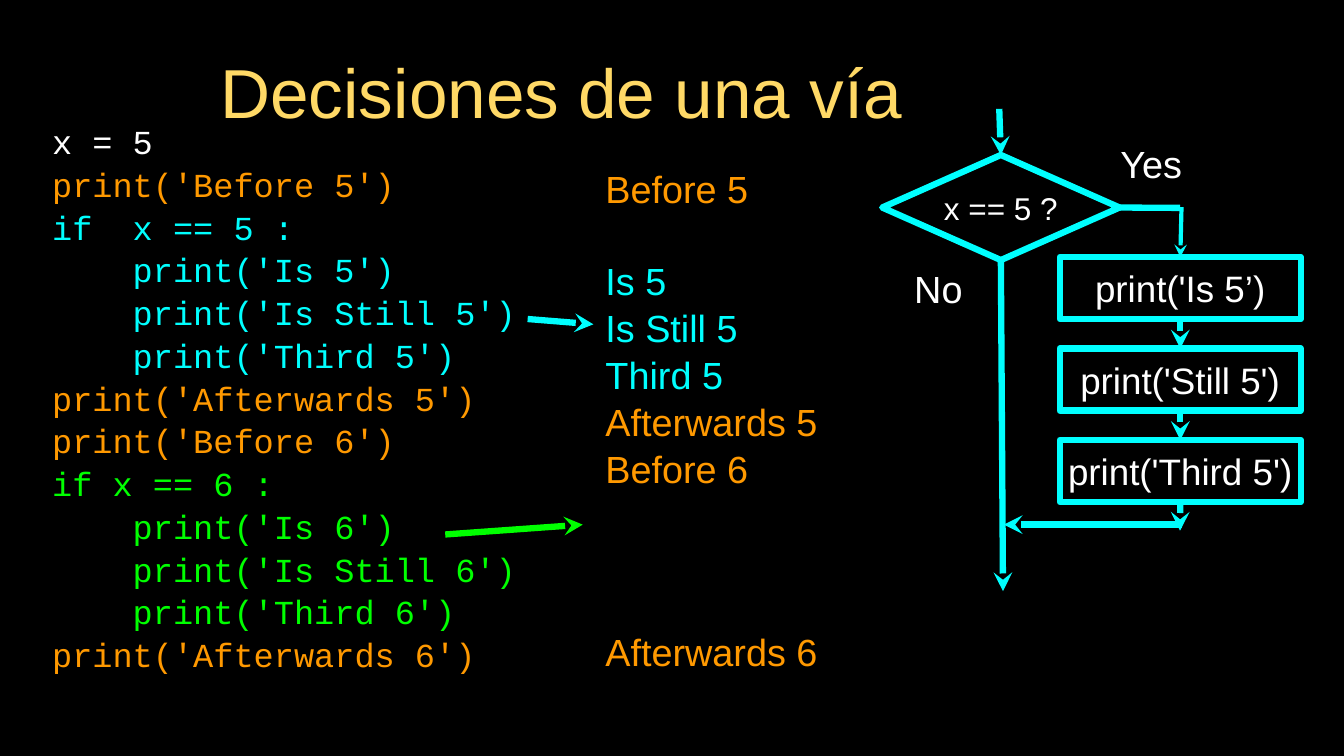
from pptx import Presentation
from pptx.dml.color import RGBColor
from pptx.enum.shapes import MSO_CONNECTOR, MSO_SHAPE
from pptx.enum.text import MSO_ANCHOR, PP_ALIGN
from pptx.oxml.ns import qn
from pptx.util import Inches, Pt
from lxml import etree

LINE = MSO_CONNECTOR.STRAIGHT
DIAMOND, RECT = MSO_SHAPE.DIAMOND, MSO_SHAPE.RECTANGLE
MIDDLE = MSO_ANCHOR.MIDDLE
LEFT, CENTER = PP_ALIGN.LEFT, PP_ALIGN.CENTER
TOP_SIDE, BOTTOM_SIDE, RIGHT_SIDE = 0, 2, 3
COLORS = {
    "black": "000000", "white": "FFFFFF", "gold": "FFD966",
    "orange": "FF9900", "cyan": "00FFFF", "green": "00FF00",
}
RGB = {name: RGBColor.from_string(value) for name, value in COLORS.items()}

prs = Presentation()
prs.slide_width, prs.slide_height = Inches(17.78), Inches(10)
COL, ROW = prs.slide_width / 100, prs.slide_height / 100  # one percent each way
slide = prs.slides.add_slide(prs.slide_layouts[5])
slide.background.fill.solid()
slide.background.fill.fore_color.rgb = RGB["black"]


def write(s, lines, size, font="Arial", align=CENTER, spacing=1.0, inset=0):
    """Fill s with (text, colour, points before) lines."""
    tf = s.text_frame
    tf.word_wrap, tf.vertical_anchor = True, MIDDLE
    tf.margin_left = tf.margin_right = tf.margin_top = tf.margin_bottom = Inches(inset)
    for i, (text, color, before) in enumerate(lines):
        p = tf.add_paragraph() if i else tf.paragraphs[0]
        p.text, p.alignment, p.line_spacing = text, align, spacing
        p.space_before = Pt(before)
        p.font.name, p.font.size = font, Pt(size)
        p.font.color.rgb = RGB[color]


def connect(x1, y1, x2, y2, color="cyan", width=6, arrow=True):
    """Draw a line in percent of the slide, with its arrowhead at the start."""
    c = slide.shapes.add_connector(
        LINE, int(x1 * COL), int(y1 * ROW), int(x2 * COL), int(y2 * ROW))
    c.line.color.rgb, c.line.width = RGB[color], Pt(width)
    if arrow:
        etree.SubElement(c.line._get_or_add_ln(), qn("a:headEnd"), type="stealth")
    etree.SubElement(c._element.spPr, qn("a:effectLst"))
    return c


# Title
title = slide.shapes.title
title.left, title.top = int(12.49 * COL), int(6.2 * ROW)
title.width, title.height = int(58.55 * COL), int(11.7 * ROW)
write(title, [("Decisiones de una vía", "gold", 0)], 66, inset=0.04)

# Program, its output and the branch labels
code = [
    ("x = 5", "white", 0),
    ("print('Before 5')", "orange", 0),
    ("if  x == 5 :", "cyan", 0),
    ("    print('Is 5')", "cyan", 0),
    ("    print('Is Still 5')", "cyan", 0),
    ("    print('Third 5')", "cyan", 0),
    ("print('Afterwards 5')", "orange", 0),
    ("print('Before 6')", "orange", 0),
    ("if x == 6 :", "green", 0),
    ("    print('Is 6')", "green", 0),
    ("    print('Is Still 6')", "green", 0),
    ("    print('Third 6')", "green", 0),
    ("print('Afterwards 6')", "orange", 0),
]
SKIP = 43  # height of one output line in points
output = [
    ("Before 5", "orange", 0),
    ("Is 5", "cyan", SKIP),
    ("Is Still 5", "cyan", 0),
    ("Third 5", "cyan", 0),
    ("Afterwards 5", "orange", 0),
    ("Before 6", "orange", 0),
    ("Afterwards 6", "orange", 3 * SKIP),
]
for x, y, w, h, lines, size, font, align, spacing in [
    (3.88, 16.9, 35.15, 71.1, code, 32, "Courier New", LEFT, 1.06),
    (45.05, 22.8, 17.38, 65.2, output, 36, "Arial", LEFT, 1.04),
    (82.23, 18.2, 6.86, 6.8, [("Yes", "white", 0)], 36, "Arial", CENTER, 1.0),
    (67.6, 34.7, 4.44, 6.8, [("No", "white", 0)], 36, "Arial", CENTER, 1.0),
]:
    s = slide.shapes.add_textbox(int(x * COL), int(y * ROW), int(w * COL), int(h * ROW))
    write(s, lines, size, font, align, spacing)

# Flowchart nodes: the test, then three evenly spaced steps
BOX_TOP, BOX_PITCH = 34, 12.1
nodes = [(DIAMOND, 65.64, 20.5, 17.66, 13.9, "x == 5 ?", 30)]
for i, text in enumerate(["print('Is 5’)", "print('Still 5')", "print('Third 5')"]):
    nodes.append((RECT, 78.85, BOX_TOP + i * BOX_PITCH, 17.94, 8.2, text, 35))
drawn = []
for kind, x, y, w, h, text, size in nodes:
    s = slide.shapes.add_shape(
        kind, int(x * COL), int(y * ROW), int(w * COL), int(h * ROW))
    s.shadow.inherit = False
    s.fill.background()
    s.line.color.rgb, s.line.width = RGB["cyan"], Pt(6)
    write(s, [(text, "white", 0)], size)
    drawn.append(s)
test, *steps = drawn

# Arrows from code to output
connect(44.15, 42.9, 39.26, 42.2)
connect(43.36, 69.4, 33.13, 70.7, "green")

# Flow into the test, past it on No, and through the steps on Yes
connect(74.41, 20.6, 74.35, 14.4).begin_connect(test, TOP_SIDE)
connect(74.63, 78.2, 74.35, 33.8).end_connect(test, BOTTOM_SIDE)
connect(87.8, 27.5, 83.24, 27.4, arrow=False).end_connect(test, RIGHT_SIDE)
connect(87.8, 34.4, 87.91, 27.4, width=4).begin_connect(steps[0], TOP_SIDE)
for upper, lower in zip(steps, steps[1:]):
    c = connect(87.8, 46.1, 87.8, 42.2)
    c.begin_connect(lower, TOP_SIDE)
    c.end_connect(upper, BOTTOM_SIDE)
connect(87.8, 70.2, 87.85, 66.3).end_connect(steps[-1], BOTTOM_SIDE)
connect(74.69, 69.4, 87.91, 69.4)

prs.save("out.pptx")
